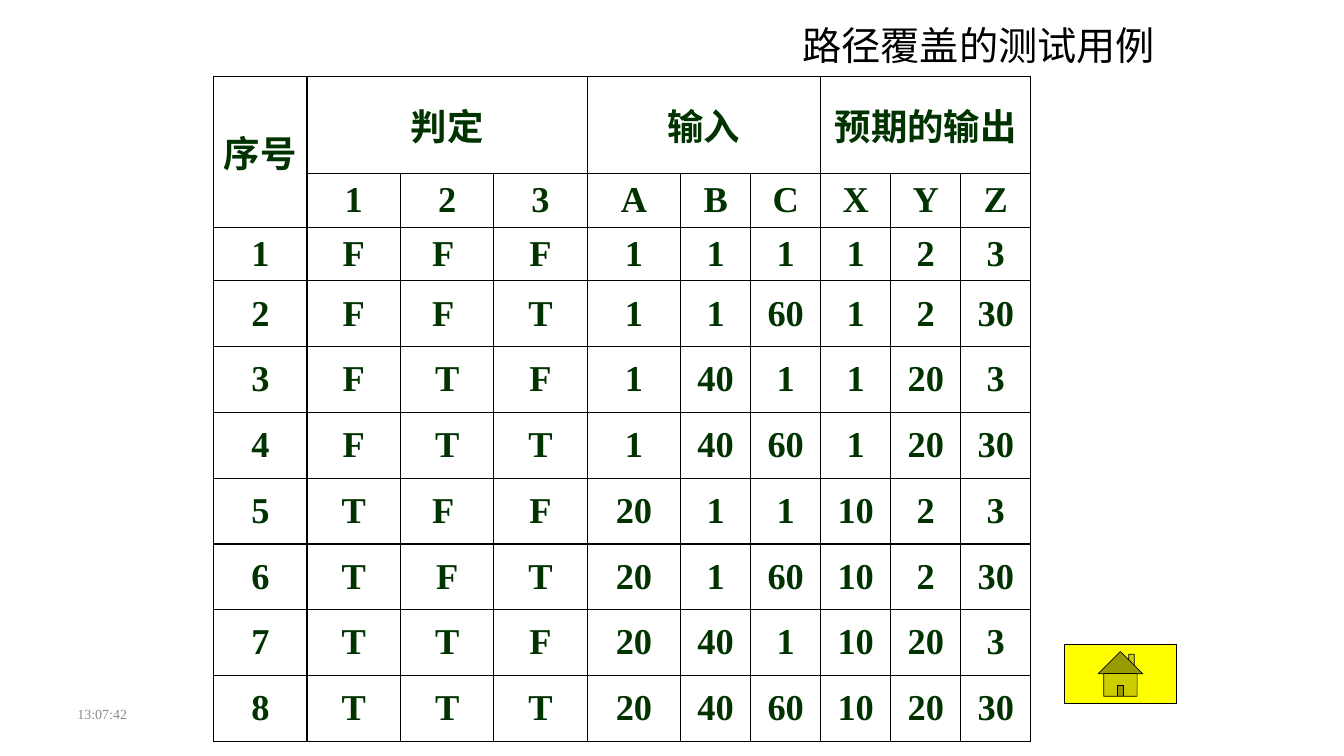
import dataclasses
import itertools

import lxml.etree
import pptx
import pptx.dml.color
import pptx.enum.shapes
import pptx.enum.text
import pptx.oxml.ns
import pptx.util

SLIDE_WIDTH = pptx.util.Inches(13.33)
SLIDE_HEIGHT = pptx.util.Inches(7.5)
LATIN_FONT = "Times New Roman"
CHINESE_FONT = "Noto Sans CJK SC"
COLOURS = {
    "black": "000000",
    "table text": "003300",
    "clock": "8C8C8C",
    "button": "FFFF00",
}


@dataclasses.dataclass(frozen=True)
class Frame:
    """A place on the slide, in hundredths of its width and height."""
    left: float
    top: float
    width: float
    height: float

    def lengths(self) -> tuple:
        return (across(self.left), down(self.top),
                across(self.width), down(self.height))


@dataclasses.dataclass(frozen=True)
class TextStyle:
    size: float
    colour: str
    bold: bool = False


@dataclasses.dataclass(frozen=True)
class HeaderGroup:
    heading: str
    column: int
    labels: str


TITLE_FRAME = Frame(59.03, 2.13, 28.35, 7.47)
CLOCK_FRAME = Frame(5.02, 92.13, 22.13, 4.67)
HOME_FRAME = Frame(79.2, 85.2, 8.33, 7.87)
COLUMN_WIDTHS = [6.95] * 5 + [5.21] * 5
ROW_HEIGHTS = [12.8] + [6.97] * 2 + [8.7] * 7
TABLE_FRAME = Frame(15.9, 10.13, sum(COLUMN_WIDTHS), sum(ROW_HEIGHTS))

TITLE_STYLE = TextStyle(28, "black")
CLOCK_STYLE = TextStyle(10, "clock")
TABLE_STYLE = TextStyle(26, "table text", bold=True)

HEADER_GROUPS = [
    HeaderGroup("判定", 1, "123"),
    HeaderGroup("输入", 4, "ABC"),
    HeaderGroup("预期的输出", 7, "XYZ"),
]
# Values of A, B, C and X, Y, Z when the matching decision is false or true.
INPUTS = [{"F": "1", "T": "20"}, {"F": "1", "T": "40"}, {"F": "1", "T": "60"}]
OUTPUTS = [{"F": "1", "T": "10"}, {"F": "2", "T": "20"}, {"F": "3", "T": "30"}]
CASES_WITH_TRAILING_SPACE = {1, 2, 5}


def across(share: float) -> int:
    return round(SLIDE_WIDTH * share / 100)


def down(share: float) -> int:
    return round(SLIDE_HEIGHT * share / 100)


def rgb(name: str) -> pptx.dml.color.RGBColor:
    return pptx.dml.color.RGBColor.from_string(COLOURS[name])


def write(text_frame, text: str, style: TextStyle, alignment) -> None:
    paragraph = text_frame.paragraphs[0]
    paragraph.alignment = alignment
    run = paragraph.add_run()
    run.text = text
    run.font.name = LATIN_FONT
    run.font.size = pptx.util.Pt(style.size)
    run.font.bold = style.bold
    run.font.color.rgb = rgb(style.colour)
    east_asian = lxml.etree.Element(pptx.oxml.ns.qn("a:ea"), typeface=CHINESE_FONT)
    run.font._element.find(pptx.oxml.ns.qn("a:latin")).addnext(east_asian)


def add_borders(cell) -> None:
    properties = cell._tc.get_or_add_tcPr()
    for position, side in enumerate(("lnL", "lnR", "lnT", "lnB")):
        line = lxml.etree.Element(pptx.oxml.ns.qn(f"a:{side}"),
                                  w=str(pptx.util.Pt(1)))
        fill = lxml.etree.SubElement(line, pptx.oxml.ns.qn("a:solidFill"))
        lxml.etree.SubElement(fill, pptx.oxml.ns.qn("a:srgbClr"),
                              val=COLOURS["black"])
        properties.insert(position, line)


def test_cases() -> list[list[str]]:
    """Every combination of the three decisions, with its inputs and outputs."""
    cases = []
    for number, decisions in enumerate(itertools.product("FT", repeat=3), start=1):
        first, second, third = decisions
        if number in CASES_WITH_TRAILING_SPACE:
            second += " "
        values = [options[decision] for group in (INPUTS, OUTPUTS)
                  for options, decision in zip(group, decisions)]
        cases.append([str(number), first, second, third, *values])
    return cases


def write_cell(cell, text: str) -> None:
    write(cell.text_frame, text, TABLE_STYLE, pptx.enum.text.PP_ALIGN.CENTER)


def add_test_table(slide) -> None:
    table = slide.shapes.add_table(len(ROW_HEIGHTS), len(COLUMN_WIDTHS),
                                   *TABLE_FRAME.lengths()).table
    table.first_row = False
    table.horz_banding = False
    for column, width in zip(table.columns, COLUMN_WIDTHS):
        column.width = across(width)
    for row, height in zip(table.rows, ROW_HEIGHTS):
        row.height = down(height)
    for cell in table.iter_cells():
        cell.fill.background()
        cell.vertical_anchor = pptx.enum.text.MSO_ANCHOR.MIDDLE
        cell.margin_left = cell.margin_right = pptx.util.Inches(0.09)
        cell.margin_top = cell.margin_bottom = pptx.util.Inches(0.05)
        add_borders(cell)

    table.cell(0, 0).merge(table.cell(1, 0))
    write_cell(table.cell(0, 0), "序号")
    for group in HEADER_GROUPS:
        heading = table.cell(0, group.column)
        heading.merge(table.cell(0, group.column + len(group.labels) - 1))
        write_cell(heading, group.heading)
        for column, label in enumerate(group.labels, start=group.column):
            write_cell(table.cell(1, column), label)
    for row, case in enumerate(test_cases(), start=2):
        for column, text in enumerate(case):
            write_cell(table.cell(row, column), text)


def add_title(slide) -> None:
    title = slide.shapes.title
    title.left, title.top, title.width, title.height = TITLE_FRAME.lengths()
    text_frame = title.text_frame
    text_frame.word_wrap = False
    text_frame.auto_size = pptx.enum.text.MSO_AUTO_SIZE.NONE
    text_frame.vertical_anchor = pptx.enum.text.MSO_ANCHOR.MIDDLE
    text_frame.margin_left = text_frame.margin_right = pptx.util.Inches(0.09)
    text_frame.margin_top = text_frame.margin_bottom = pptx.util.Inches(0.05)
    write(text_frame, "路径覆盖的测试用例", TITLE_STYLE, pptx.enum.text.PP_ALIGN.LEFT)


def add_clock(slide) -> None:
    text_frame = slide.shapes.add_textbox(*CLOCK_FRAME.lengths()).text_frame
    text_frame.word_wrap = True
    text_frame.vertical_anchor = pptx.enum.text.MSO_ANCHOR.MIDDLE
    write(text_frame, "13:07:42", CLOCK_STYLE, pptx.enum.text.PP_ALIGN.LEFT)


def add_home_button(slide) -> None:
    button = slide.shapes.add_shape(
        pptx.enum.shapes.MSO_SHAPE.ACTION_BUTTON_HOME, *HOME_FRAME.lengths())
    button.shadow.inherit = False
    button.fill.solid()
    button.fill.fore_color.rgb = rgb("button")
    button.line.color.rgb = rgb("black")
    button.line.width = pptx.util.Pt(0.5)


def main() -> None:
    presentation = pptx.Presentation()
    presentation.slide_width = SLIDE_WIDTH
    presentation.slide_height = SLIDE_HEIGHT
    title_only = presentation.slide_layouts.get_by_name("Title Only")
    slide = presentation.slides.add_slide(title_only)
    add_clock(slide)
    add_home_button(slide)
    add_test_table(slide)
    add_title(slide)
    presentation.save("out.pptx")


if __name__ == "__main__":
    main()
